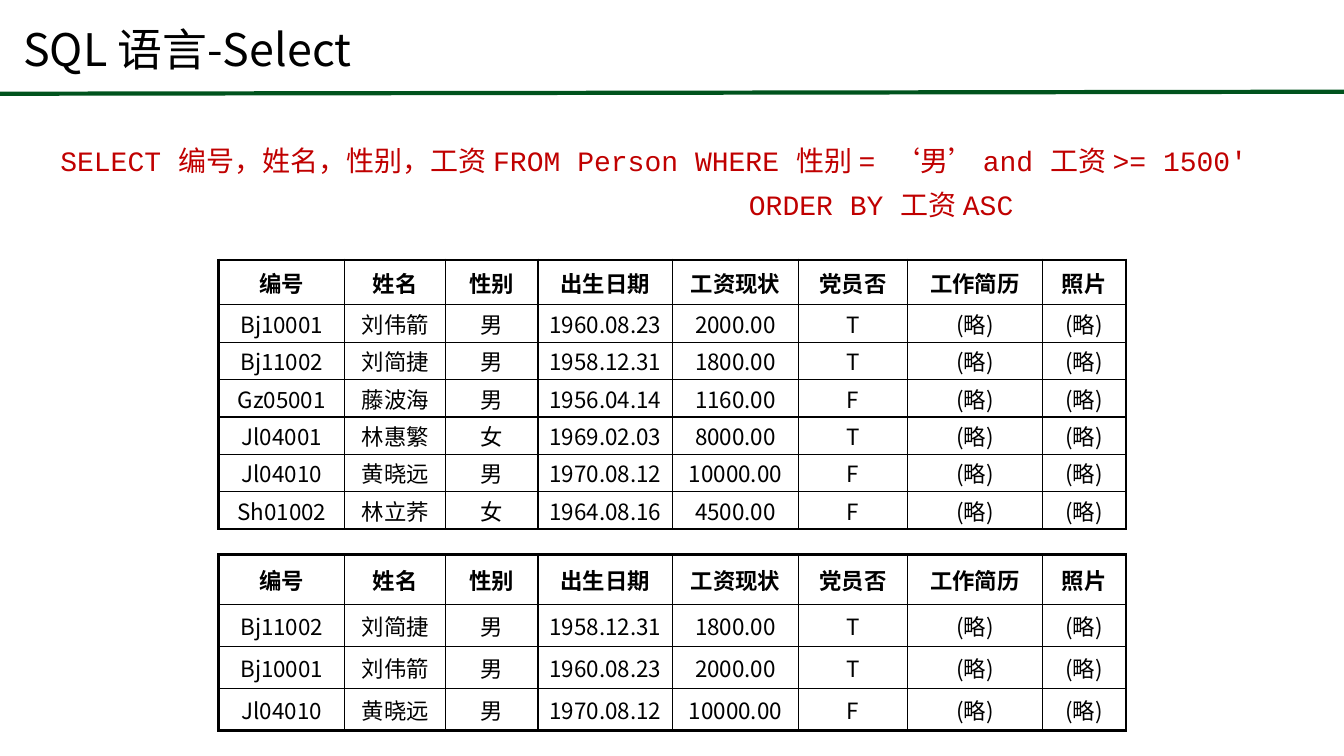
from lxml.etree import SubElement
from pptx import Presentation
from pptx.dml.color import RGBColor
from pptx.enum.text import MSO_ANCHOR, PP_ALIGN
from pptx.oxml import parse_xml
from pptx.oxml.ns import nsdecls, qn
from pptx.util import Inches, Pt

TITLE = "SQL 语言-Select"
QUERY = [
    ("SELECT 编号，姓名，性别，工资 FROM Person WHERE 性别 = ‘男’ and 工资 >= 1500'", 0),
    ("ORDER BY 工资 ASC", 6.83),
]
HEAD = ["编号", "姓名", "性别", "出生日期", "工资现状", "党员否", "工作简历", "照片"]
STAFF = [
    ("Bj10001", "刘伟箭", "男", "1960.08.23", "2000.00", "T"),
    ("Bj11002", "刘简捷", "男", "1958.12.31", "1800.00", "T"),
    ("Gz05001", "藤波海", "男", "1956.04.14", "1160.00", "F"),
    ("Jl04001", "林惠繁", "女", "1969.02.03", "8000.00", "T"),
    ("Jl04010", "黄晓远", "男", "1970.08.12", "10000.00", "F"),
    ("Sh01002", "林立荞", "女", "1964.08.16", "4500.00", "F"),
]
OMITTED = ("(略)", "(略)")
COLS = [15, 12, 11, 16, 15, 13, 16, 10]  # twelfths of an inch
HEAD_SHARE = 1.2  # header height, in body rows
SANS, MONO = "Noto Sans CJK SC", "Courier New"
BLACK, RED, GREEN = "000000", "C00000", "00531D"
THIN, THICK = 1, 2.25


def color(code):
    return RGBColor.from_string(code)


def style(para, size, face, code, align, bold=False):
    para.alignment = align
    font = para.font
    font.size, font.name, font.bold = Pt(size), face, bold
    font.color.rgb = color(code)
    east = SubElement(para._p.pPr.find(qn("a:defRPr")), qn("a:ea"))
    east.set("typeface", SANS)


def inset(box, side, edge):
    box.margin_left = box.margin_right = Inches(side)
    box.margin_top = box.margin_bottom = Inches(edge)


def border(cell, widths):
    """Set the left, right, top and bottom lines, in points."""
    props = cell._tc.get_or_add_tcPr()
    for i, (side, width) in enumerate(zip("LRTB", widths)):
        props.insert(i, parse_xml(
            f'<a:ln{side} {nsdecls("a")} w="{Pt(width)}"><a:solidFill>'
            f'<a:srgbClr val="{BLACK}"/></a:solidFill></a:ln{side}>'))


def add_grid(slide, top, height, people):
    rows = [HEAD] + [person + OMITTED for person in people]
    unit = height / (len(people) + HEAD_SHARE)
    table = slide.shapes.add_table(
        len(rows), len(HEAD), Inches(2.17), Inches(top),
        Inches(sum(COLS) / 12), Inches(height)).table
    table.horz_banding = False
    for col, width in zip(table.columns, COLS):
        col.width = Inches(width / 12)
    for r, row in enumerate(rows):
        table.rows[r].height = Inches(unit if r else unit * HEAD_SHARE)
        for c, text in enumerate(row):
            cell = table.cell(r, c)
            cell.text = text
            cell.vertical_anchor = MSO_ANCHOR.MIDDLE
            cell.fill.background()
            inset(cell, *((0, 0) if r else (0.1, 0.05)))
            para = cell.text_frame.paragraphs[0]
            style(para, 16, SANS, BLACK, PP_ALIGN.CENTER, r == 0)
            para.space_before = Pt(3.2)
            outer = (c == 0, c == len(HEAD) - 1, r == 0, r == len(rows) - 1)
            border(cell, [THICK if edge else THIN for edge in outer])


deck = Presentation()
deck.slide_width, deck.slide_height = Inches(13.33), Inches(7.5)
slide = deck.slides.add_slide(deck.slide_layouts[5])

rule = slide.shapes.add_connector(1, 0, Inches(0.93), deck.slide_width, Inches(0.91))
rule.line.color.rgb, rule.line.width = color(GREEN), Pt(3)
SubElement(rule._element.spPr, qn("a:effectLst"))

title = slide.shapes.title
title.left, title.top = Inches(0.02), Inches(0.02)
title.width, title.height = Inches(11.3), Inches(1)
frame = title.text_frame
frame.text = TITLE
frame.vertical_anchor = MSO_ANCHOR.MIDDLE
inset(frame, 0.21, 0.05)
para = frame.paragraphs[0]
style(para, 32, SANS, BLACK, PP_ALIGN.LEFT)
para.line_spacing = 0.9

frame = slide.shapes.add_textbox(
    Inches(0.5), Inches(1.15), Inches(12.47), Inches(1.81)).text_frame
frame.word_wrap = True
frame.vertical_anchor = MSO_ANCHOR.MIDDLE
inset(frame, 0.1, 0.05)
frame.margin_bottom = Inches(0.5)
for i, (text, indent) in enumerate(QUERY):
    para = frame.add_paragraph() if i else frame.paragraphs[0]
    para.text = text
    style(para, 20, MONO, RED, PP_ALIGN.JUSTIFY)
    para.line_spacing, para.space_before = 0.9, Pt(10)
    para._p.pPr.set("marL", str(Inches(indent)))

matches = [p for p in STAFF if p[2] == "男" and float(p[4]) >= 1500]
add_grid(slide, 2.58, 2.67, STAFF)
add_grid(slide, 5.5, 1.75, sorted(matches, key=lambda p: float(p[4])))

deck.save("out.pptx")
